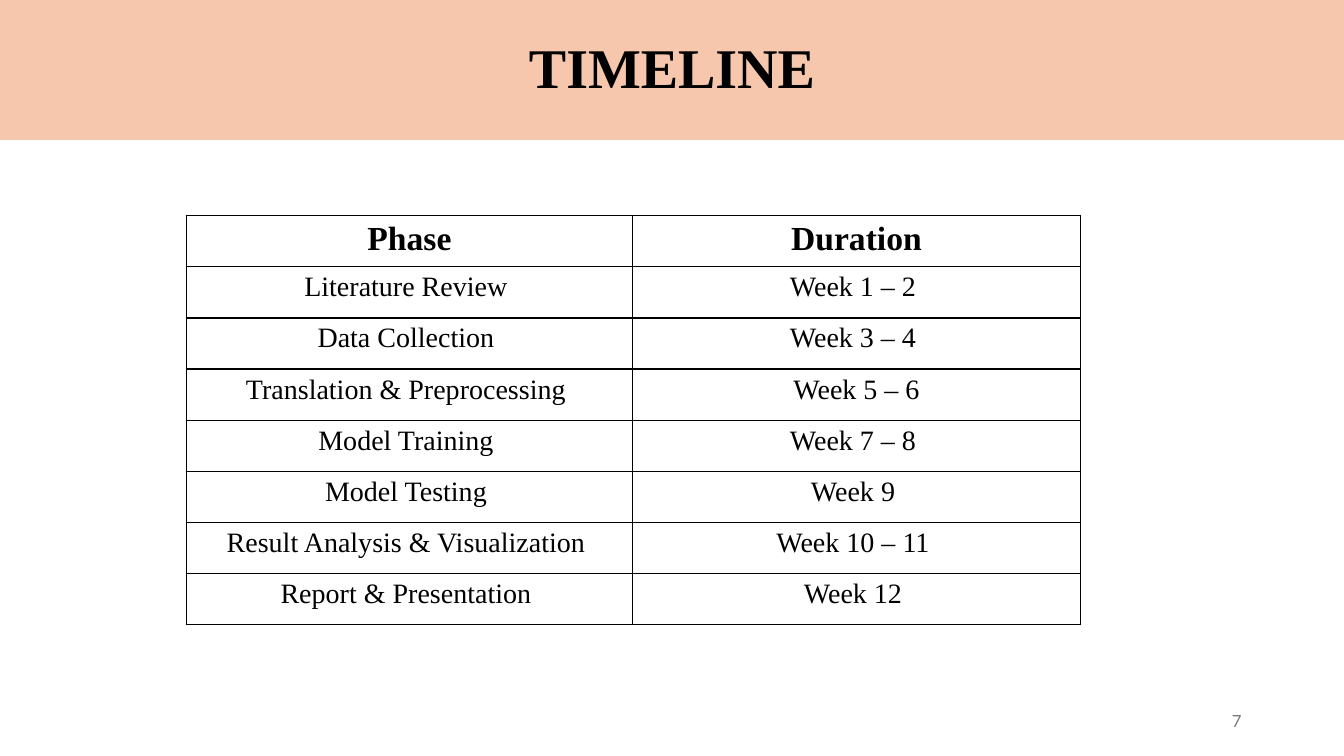
from lxml import etree
from pptx import Presentation
from pptx.dml.color import RGBColor
from pptx.enum.text import MSO_ANCHOR as Anchor, MSO_AUTO_SIZE as AutoSize, PP_ALIGN as Align
from pptx.oxml.ns import qn
from pptx.util import Pt


def color(value):
    return RGBColor.from_string(value)


def write(frame, text, size, font="Times New Roman", ink="000000", bold=False,
          align=Align.CENTER, spacing=None):
    para = frame.paragraphs[0]
    para.alignment = align
    para.line_spacing = spacing
    span = para.add_run()
    span.text = text
    span.font.size = Pt(size)
    span.font.name = font
    span.font.bold = bold
    span.font.color.rgb = color(ink)


deck = Presentation()
deck.slide_width, deck.slide_height = Pt(960), Pt(540)
page = deck.slides.add_slide(deck.slide_layouts[5])

# Title band
title = page.shapes.title
title.left, title.top, title.width, title.height = Pt(0), Pt(0), Pt(960), Pt(100)
title.fill.solid()
title.fill.fore_color.rgb = color("F6C6AD")
title.text_frame.auto_size = AutoSize.NONE
title.text_frame.vertical_anchor = Anchor.MIDDLE
write(title.text_frame, "TIMELINE", 40, bold=True, spacing=0.9)

# Schedule table
schedule = [
    ("Phase", "Duration"),
    ("Literature Review ", "Week 1 – 2 "),
    ("Data Collection ", "Week 3 – 4 "),
    ("Translation & Preprocessing ", "Week 5 – 6"),
    ("Model Training ", "Week 7 – 8 "),
    ("Model Testing ", "Week 9 "),
    ("Result Analysis & Visualization ", "Week 10 – 11 "),
    ("Report & Presentation ", "Week 12 "),
]
row_height = 36.56
table = page.shapes.add_table(len(schedule), 2, Pt(133), Pt(154), Pt(638.6),
                              Pt(row_height * len(schedule))).table
table.horz_banding = False
table.first_row = False
for column, width in zip(table.columns, (319, 319.6)):
    column.width = Pt(width)

for row, entries in enumerate(schedule):
    table.rows[row].height = Pt(row_height)
    for col, text in enumerate(entries):
        cell = table.cell(row, col)
        header = row == 0
        write(cell.text_frame, text, 24 if header else 20, bold=header)
        # Borders come before the fill in the cell properties
        properties = cell._tc.get_or_add_tcPr()
        for side in ("a:lnL", "a:lnR", "a:lnT", "a:lnB"):
            border = etree.SubElement(properties, qn(side), w=str(Pt(1)))
            paint = etree.SubElement(border, qn("a:solidFill"))
            etree.SubElement(paint, qn("a:srgbClr"), val="000000")
        cell.fill.background()

# Page number
number_box = page.shapes.add_textbox(Pt(678), Pt(500.5), Pt(216), Pt(28.75))
number_box.text_frame.word_wrap = True
number_box.text_frame.vertical_anchor = Anchor.MIDDLE
write(number_box.text_frame, "7", 12, font="Lato", ink="797979", align=Align.RIGHT)

deck.save("out.pptx")
